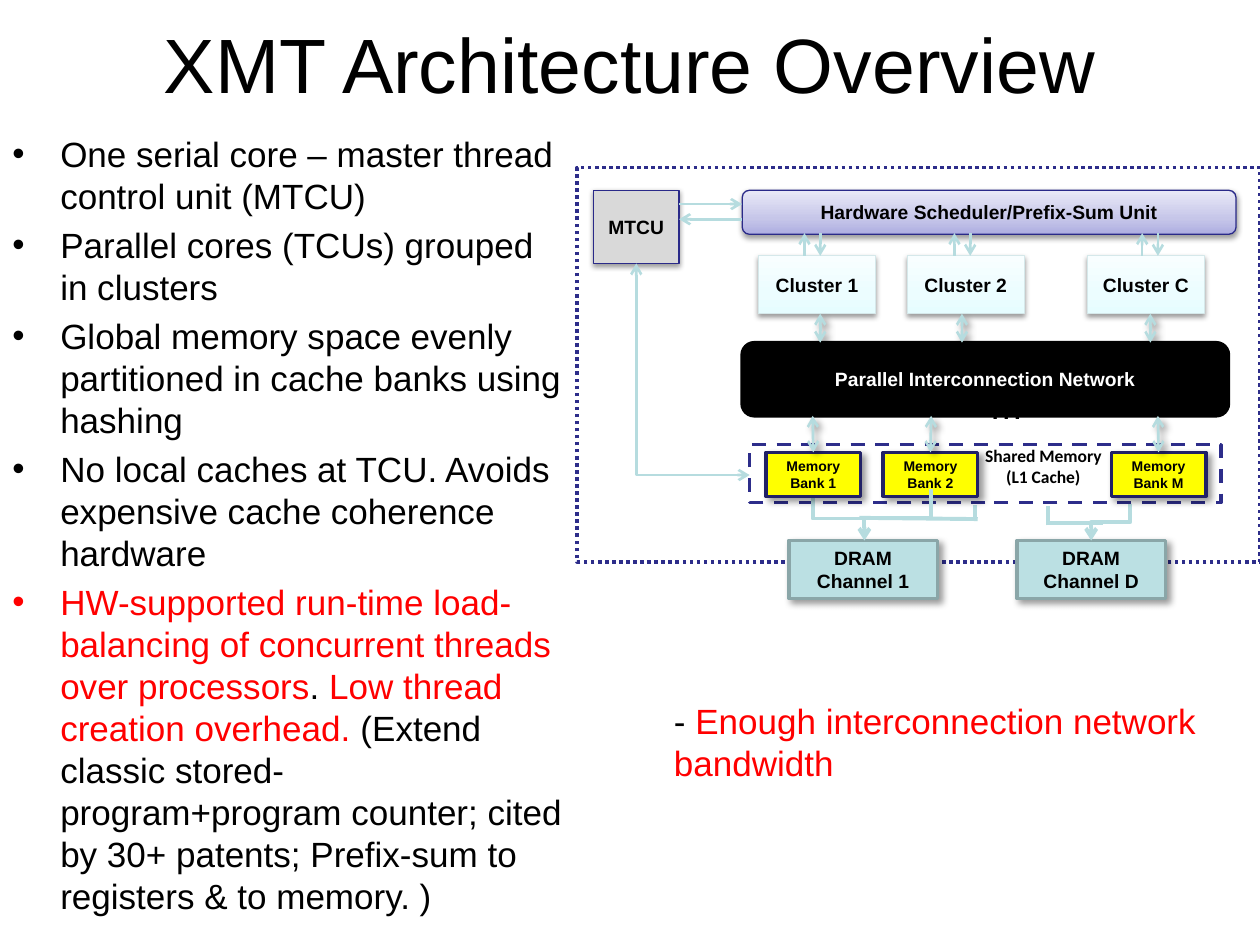
from dataclasses import dataclass
from lxml import etree
from pptx import Presentation
from pptx import util as u
from pptx.dml.color import RGBColor
from pptx.enum import dml, shapes, text
from pptx.oxml.ns import qn


@dataclass(frozen=True)
class Theme:
    font: str = "Arial"
    label_font: str = "Calibri"
    title: int = 44
    body: int = 20
    block: int = 11
    label: int = 10
    bank: int = 8
    black: str = "000000"
    white: str = "FFFFFF"
    red: str = "FF0000"
    navy: str = "2D2D8A"
    edge: str = "2A2A89"
    bank_edge: str = "212166"
    yellow: str = "FFFF00"
    gray: str = "D9D9D9"
    aqua: str = "BBE0E3"
    aqua_edge: str = "8AA6A8"
    wire: str = "B6DCDF"
    ice_edge: str = "D5E8EA"
    ice: tuple = ("E6FDFF", "ECFDFF", "F8FEFF")
    lilac: tuple = ("ADADE1", "C6C6E9", "E9E9F7")
    soft: tuple = (38, 3.1, 1.6, 90)
    deep: tuple = (40, 4, 3, 45)


THEME = Theme()
COLUMNS, ROWS = 100, 75
WIDTH, HEIGHT = u.Inches(10), u.Inches(7.5)
RECT, ROUND = shapes.MSO_SHAPE.RECTANGLE, shapes.MSO_SHAPE.ROUNDED_RECTANGLE
CENTER = text.PP_ALIGN.CENTER


def child(parent, tag, **attributes):
    return etree.SubElement(parent, qn(tag), {k: str(v) for k, v in attributes.items()})


def write(frame, paragraphs, size, color=THEME.black, font=THEME.font, bold=False,
          align=None, anchor=text.MSO_ANCHOR.TOP, wrap=True, bullet=False, leading=None, gap=0):
    frame.word_wrap = wrap
    frame.vertical_anchor = anchor
    for index, runs in enumerate(paragraphs):
        paragraph = frame.paragraphs[0] if index == 0 else frame.add_paragraph()
        paragraph.alignment = align
        paragraph.line_spacing = leading
        if index and gap:
            paragraph.space_before = u.Pt(gap)
        if bullet:
            properties = paragraph._p.get_or_add_pPr()
            properties.set("marL", str(u.Inches(0.38)))
            properties.set("indent", str(-u.Inches(0.38)))
            child(properties, "a:buFont", typeface=font)
            child(properties, "a:buChar", char="•")
        for words, tint in [(runs, color)] if isinstance(runs, str) else runs:
            run = paragraph.add_run()
            run.text = words
            run.font.size, run.font.name, run.font.bold = u.Pt(size), font, bold
            run.font.color.rgb = RGBColor.from_string(tint)


class Board:
    def __init__(self, slide, theme):
        self.slide, self.theme = slide, theme

    def x(self, columns):
        return round(WIDTH * columns / COLUMNS)

    def y(self, rows):
        return round(HEIGHT * rows / ROWS)

    def area(self, left, top, width, height):
        return self.x(left), self.y(top), self.x(width), self.y(height)

    def shade(self, effects, shadow):
        if shadow:
            alpha, blur, distance, angle = shadow
            outer = child(effects, "a:outerShdw", blurRad=u.Pt(blur), dist=u.Pt(distance),
                          dir=angle * 60000, rotWithShape=0)
            child(child(outer, "a:srgbClr", val=self.theme.black), "a:alpha", val=alpha * 1000)

    def note(self, box, paragraphs, **style):
        write(self.slide.shapes.add_textbox(*self.area(*box)).text_frame, paragraphs, **style)

    def block(self, box, label="", fill=None, edge=None, weight=2, kind=RECT, shadow=None,
              dash=None, size=None, color=None):
        shape = self.slide.shapes.add_shape(kind, *self.area(*box))
        if fill is None:
            shape.fill.background()
        elif isinstance(fill, tuple):
            shape.fill.gradient()
            gradient = shape._element.spPr.find(qn("a:gradFill"))
            stops = gradient.find(qn("a:gsLst"))
            for stop in list(stops):
                stops.remove(stop)
            for position, tint in zip((0, 35, 100), fill):
                child(child(stops, "a:gs", pos=position * 1000), "a:srgbClr", val=tint)
            gradient.find(qn("a:lin")).set("ang", str(270 * 60000))
        else:
            shape.fill.solid()
            shape.fill.fore_color.rgb = RGBColor.from_string(fill)
        shape.line.color.rgb = RGBColor.from_string(edge)
        shape.line.width = u.Pt(weight)
        if dash:
            shape.line.dash_style = dash
        shape.shadow.inherit = False
        self.shade(shape._element.spPr.find(qn("a:effectLst")), shadow)
        if label:
            write(shape.text_frame, [label], size or self.theme.block, color or self.theme.black,
                  bold=True, align=CENTER, anchor=text.MSO_ANCHOR.MIDDLE)
        return shape

    def wire(self, start, end, weight=1.5, head=False, tail=False, shadow=None,
             kind=shapes.MSO_CONNECTOR.STRAIGHT):
        wire = self.slide.shapes.add_connector(
            kind, self.x(start[0]), self.y(start[1]), self.x(end[0]), self.y(end[1]))
        wire.line.color.rgb = RGBColor.from_string(self.theme.wire)
        wire.line.width = u.Pt(weight)
        line = wire.line._get_or_add_ln()
        for wanted, tag in ((head, "a:headEnd"), (tail, "a:tailEnd")):
            if wanted:
                child(line, tag, type="arrow")
        self.shade(child(wire._element.spPr, "a:effectLst"), shadow)
        return wire

    def drop_elbow(self, start, end, preset="bentConnector3", **style):
        across, down = end[0] - start[0], end[1] - start[1]
        left = (start[0] + end[0] - down) / 2
        top = (start[1] + end[1] - abs(across)) / 2
        wire = self.wire((left, top), (left + down, top + abs(across)),
                         kind=shapes.MSO_CONNECTOR.ELBOW, **style)
        frame = wire._element.spPr.find(qn("a:xfrm"))
        frame.set("rot", str((270 if across > 0 else 90) * 60000))
        if across > 0:
            frame.set("flipH", "1")
        wire._element.spPr.find(qn("a:prstGeom")).set("prst", preset)


def draw_text(board, t):
    board.note((5, 0, 90, 10), ["XMT Architecture Overview"], size=t.title, align=CENTER,
               anchor=text.MSO_ANCHOR.MIDDLE)
    points = [
        "One serial core – master thread control unit (MTCU)",
        "Parallel cores (TCUs) grouped in clusters",
        "Global memory space evenly partitioned in cache banks using hashing",
        "No local caches at TCU. Avoids expensive cache coherence hardware",
        [("HW-supported run-time load-balancing of concurrent threads over processors", t.red),
         (". ", t.black), ("Low thread creation overhead.", t.red),
         (" (Extend classic stored-program+program counter; cited by 30+ patents; "
          "Prefix-sum to registers & to memory. )", t.black)],
    ]
    board.note((0, 10, 45.8, 57), points, size=t.body, bullet=True, leading=u.Pt(24), gap=4)


def draw_diagram(board, t):
    board.block((59.5, 35.3, 37.4, 4.6), edge=t.navy, dash=dml.MSO_LINE.DASH)
    board.block((45.8, 13.3, 54.2, 31.3), edge=t.navy, dash=dml.MSO_LINE.ROUND_DOT)
    for name, left in (("1", 60.2), ("2", 72), ("C", 86.3)):
        board.block((left, 20.3, 9.3, 4.6), f"Cluster {name}", t.ice, t.ice_edge, 0.75,
                    shadow=t.soft)
    for name, left in (("1", 62.6), ("D", 80.7)):
        board.block((left, 42.9, 11.8, 4.6), f"DRAM Channel {name}", t.aqua, t.aqua_edge,
                    shadow=t.deep)
    board.drop_elbow((64.5, 39.4), (68.6, 42.9), weight=2.25, tail=True)
    board.drop_elbow((89.7, 40), (86.6, 42.9), weight=2.25, tail=True)
    for start, end in (((68.2, 41.1), (77.6, 41.2)), ((87.5, 41.5), (83.2, 41.5)),
                       ((83.2, 41.7), (83.2, 40.2)), ((77.4, 41.2), (77.4, 40.1))):
        board.wire(start, end, weight=2.25)
    board.block((47.1, 15.1, 6.8, 5.8), "MTCU", t.gray, t.edge, 0.75, shadow=t.soft)
    board.block((58.9, 15.1, 39.2, 3.5), "Hardware Scheduler/Prefix-Sum Unit", t.lilac, t.edge,
                0.75, ROUND, t.soft)
    board.block((58.9, 27.2, 38.6, 5.8), "Parallel Interconnection Network", t.black, t.black,
                kind=ROUND, color=t.white)
    for column in (65.1, 76.35, 91.3):
        board.wire((column, 24.9), (column, 27.2), head=True, tail=True, shadow=t.deep)
    for column in (65.1, 77, 91.9):
        board.wire((column, 18.5), (column, 20.3), tail=True)
        board.wire((column - 1.25, 20.3), (column - 1.25, 18.5), tail=True)
    banks = [board.block((left, 35.9, 7.5, 3.5), f"Memory Bank {name}", t.yellow, t.bank_edge,
                         shadow=t.deep, size=t.bank)
             for name, left in (("1", 60.8), ("2", 70.1), ("M", 88.2))]
    board.drop_elbow((50.5, 20.9), (59.5, 37.7), "bentConnector2", head=True, tail=True)
    board.wire((53.9, 16.2), (58.9, 16.2), tail=True)
    board.wire((53.9, 17.4), (58.9, 17.4), head=True)
    board.note((76.9, 34.8, 11.8, 6.1), ["Shared Memory", "(L1 Cache)"], size=t.label,
               font=t.label_font, bold=True, align=CENTER, wrap=False)
    for bank, column in zip(banks, (64.5, 73.9, 91.9)):
        link = board.wire((column, 33), (column, 35.9), head=True, tail=True, shadow=t.deep)
        link.end_connect(bank, 0)
    board.drop_elbow((73.9, 38.8), (68.9, 41.1), "bentConnector2", weight=2.25)
    board.note((77.5, 30, 4.8, 4.4), ["…"], size=t.body, wrap=False)
    board.note((52.5, 55, 47.5, 7.7),
               [[("- ", t.black), ("Enough interconnection network", t.red)],
                [("bandwidth", t.red)]], size=t.body, leading=u.Pt(24))


def main():
    deck = Presentation()
    deck.slide_width, deck.slide_height = WIDTH, HEIGHT
    board = Board(deck.slides.add_slide(deck.slide_layouts[6]), THEME)
    draw_text(board, THEME)
    draw_diagram(board, THEME)
    deck.save("out.pptx")


if __name__ == "__main__":
    main()
